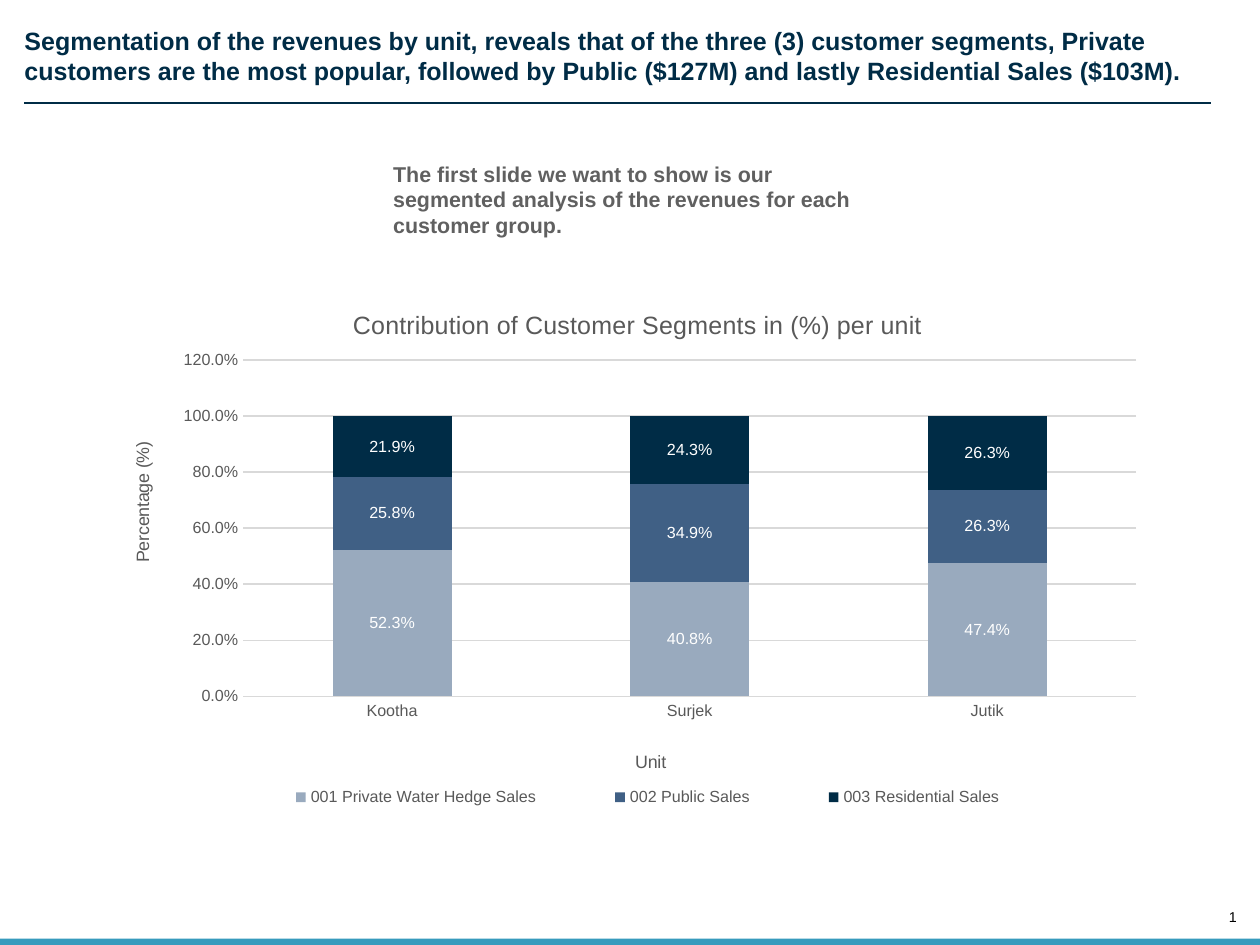
import pptx
import pptx.util
import pptx.chart.data
import pptx.dml.color
import pptx.enum.chart
import pptx.enum.shapes
import pptx.enum.text
import pptx.oxml
import pptx.oxml.ns
from dataclasses import dataclass

Inches = pptx.util.Inches
Pt = pptx.util.Pt
Align = pptx.enum.text.PP_ALIGN
Anchor = pptx.enum.text.MSO_ANCHOR


@dataclass(frozen=True)
class Theme:
    face: str = "Arial"
    navy: str = "002C46"
    steel: str = "406085"
    mist: str = "99AABE"
    band: str = "379BBD"
    note: str = "606060"
    grey: str = "595959"
    grid: str = "D9D9D9"
    white: str = "FFFFFF"
    black: str = "000000"
    head: int = 14
    lead: int = 12
    axis: int = 10
    label: int = 9
    page: int = 8
    rule: float = 0.75


def tint(code):
    return pptx.dml.color.RGBColor.from_string(code)


class Deck:
    def __init__(self, theme, wide, high):
        self.theme = theme
        self.show = pptx.Presentation()
        self.show.slide_width = Inches(wide)
        self.show.slide_height = Inches(high)
        self.slide = self.show.slides.add_slide(self.show.slide_layouts[5])

    def font(self, font, size, color, bold=False):
        font.name = self.theme.face
        font.size = Pt(size)
        font.bold = bold
        font.color.rgb = tint(color)

    def stroke(self, line, color):
        line.color.rgb = tint(color)
        line.width = Pt(self.theme.rule)

    def fill(self, shape, text, size, color, bold=False, align=Align.LEFT,
             anchor=Anchor.TOP, inset=True, wrap=True):
        frame = shape.text_frame
        frame.auto_size = pptx.enum.text.MSO_AUTO_SIZE.NONE
        frame.word_wrap = wrap
        frame.vertical_anchor = anchor
        if not inset:
            frame.margin_left = frame.margin_right = 0
            frame.margin_top = frame.margin_bottom = 0
        frame.text = text
        line = frame.paragraphs[0]
        line.alignment = align
        self.font(line.font, size, color, bold)

    def title(self, text, *box):
        shape = self.slide.shapes.title
        shape.left, shape.top, shape.width, shape.height = map(Inches, box)
        self.fill(shape, text, self.theme.head, self.theme.navy, True, inset=False)

    def text(self, text, *box, **style):
        shape = self.slide.shapes.add_textbox(*map(Inches, box))
        self.fill(shape, text, **style)

    def bar(self, color, *box):
        kind = pptx.enum.shapes.MSO_SHAPE.RECTANGLE
        shape = self.slide.shapes.add_shape(kind, *map(Inches, box))
        shape.shadow.inherit = False
        shape.fill.solid()
        shape.fill.fore_color.rgb = tint(color)
        shape.line.fill.background()

    def line(self, color, *ends):
        kind = pptx.enum.shapes.MSO_CONNECTOR.STRAIGHT
        line = self.slide.shapes.add_connector(kind, *map(Inches, ends))
        self.stroke(line.line, color)
        props = line._element.spPr
        props.append(props.makeelement(pptx.oxml.ns.qn("a:effectLst"), {}))

    def place(self, chart, query, index, **spots):
        node = chart.element.xpath(query)[0]
        for old in node.xpath("c:layout"):
            node.remove(old)
        inner = '<c:layoutTarget val="inner"/>' if index == 0 else ""
        modes = "".join(f'<c:{key}Mode val="edge"/>' for key in spots if key in "xy")
        sizes = "".join(f'<c:{key} val="{val}"/>' for key, val in spots.items())
        node.insert(index, pptx.oxml.parse_xml(
            f'<c:layout {pptx.oxml.ns.nsdecls("c")}><c:manualLayout>'
            f"{inner}{modes}{sizes}</c:manualLayout></c:layout>"))

    def name(self, frame, text, size):
        frame.text = text
        self.font(frame.paragraphs[0].font, size, self.theme.grey)

    def chart(self, title, units, groups, *box):
        theme = self.theme
        enum = pptx.enum.chart
        data = pptx.chart.data.CategoryChartData(number_format="0.0%")
        data.categories = units
        for name, vals, color in groups:
            data.add_series(name, vals)
        chart = self.slide.shapes.add_chart(
            enum.XL_CHART_TYPE.COLUMN_STACKED, *map(Inches, box), data).chart
        self.font(chart.font, theme.axis, theme.black)
        chart.has_title = True
        self.name(chart.chart_title.text_frame, title, theme.head)

        plot = chart.plots[0]
        plot.gap_width = 150
        plot.overlap = 100
        plot.vary_by_categories = False
        for series, (name, vals, color) in zip(plot.series, groups):
            series.format.fill.solid()
            series.format.fill.fore_color.rgb = tint(color)
            labels = series.data_labels
            labels.show_value = True
            labels.number_format = "0.0%"
            labels.number_format_is_linked = False
            self.font(labels.font, theme.label, theme.white)

        axes = ((chart.category_axis, "Unit"), (chart.value_axis, "Percentage (%)"))
        for axis, text in axes:
            axis.major_tick_mark = axis.minor_tick_mark = enum.XL_TICK_MARK.NONE
            self.font(axis.tick_labels.font, theme.label, theme.grey)
            self.name(axis.axis_title.text_frame, text, theme.axis)
        self.stroke(chart.category_axis.format.line, theme.grid)
        scale = chart.value_axis
        scale.minimum_scale, scale.maximum_scale, scale.major_unit = 0, 1.2, 0.2
        scale.tick_labels.number_format = "0.0%"
        scale.tick_labels.number_format_is_linked = False
        scale.format.line.fill.background()
        self.stroke(scale.major_gridlines.format.line, theme.grid)
        turn = chart.element.xpath(".//c:valAx/c:title//a:bodyPr")[0]
        turn.set("rot", "-5400000")
        turn.set("vert", "horz")

        chart.has_legend = True
        chart.legend.position = enum.XL_LEGEND_POSITION.BOTTOM
        chart.legend.include_in_layout = False
        self.font(chart.legend.font, theme.label, theme.grey)

        self.place(chart, "c:chart/c:title", 1, x=0.23, y=0.04)
        self.place(chart, ".//c:catAx/c:title", 1, x=0.5, y=0.83)
        self.place(chart, ".//c:valAx/c:title", 1, x=0.02, y=0.28)
        self.place(chart, ".//c:legend", 1, x=0.11, y=0.89, w=0.81, h=0.06)
        self.place(chart, ".//c:plotArea", 0, x=0.13, y=0.14, w=0.85, h=0.6)


def main():
    theme = Theme()
    deck = Deck(theme, 9.8, 7.35)
    deck.text("1", 9.48, 7.07, 0.14, 0.13, size=theme.page, color=theme.black,
              align=Align.RIGHT, anchor=Anchor.BOTTOM, inset=False, wrap=False)
    deck.bar(theme.band, 0, 7.3, 9.8, 0.05)
    deck.title("Segmentation of the revenues by unit, reveals that of the three (3) "
               "customer segments, Private customers are the most popular, followed "
               "by Public ($127M) and lastly Residential Sales ($103M).",
               0.19, 0.2, 9.56, 0.47)
    deck.line(theme.navy, 0.19, 0.8, 9.42, 0.8)
    deck.text("The first slide we want to show is our segmented analysis of the "
              "revenues for each customer group.", 2.96, 1.2, 4.01, 0.71,
              size=theme.lead, color=theme.note, bold=True)
    groups = (
        ("001 Private Water Hedge Sales", (0.523, 0.408, 0.474), theme.mist),
        ("002 Public Sales", (0.258, 0.349, 0.263), theme.steel),
        ("003 Residential Sales", (0.219, 0.243, 0.263), theme.navy),
    )
    deck.chart("Contribution of Customer Segments in (%) per unit",
               ("Kootha", "Surjek", "Jutik"), groups, 0.83, 2.19, 8.17, 4.36)
    deck.show.save("out.pptx")


if __name__ == "__main__":
    main()
